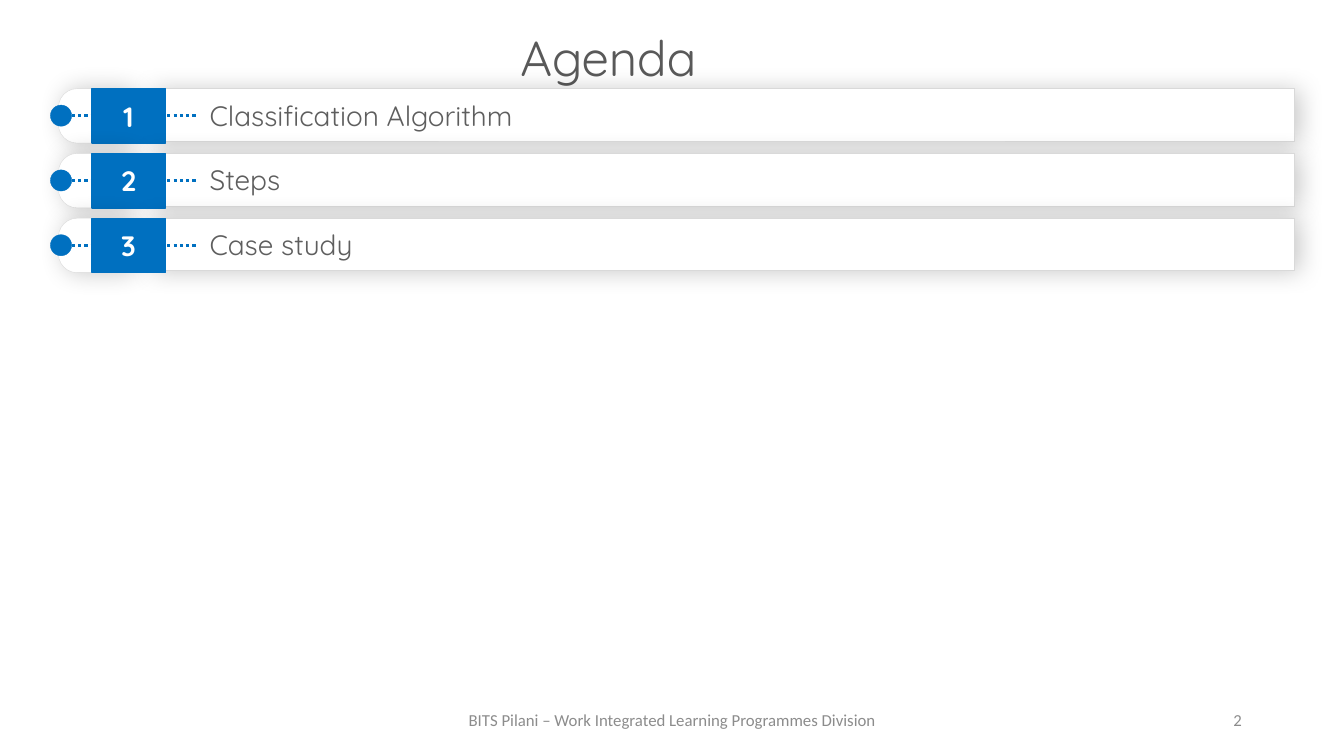
from dataclasses import dataclass

import pptx
import pptx.dml.color
import pptx.enum.dml
import pptx.enum.shapes
import pptx.enum.text
import pptx.oxml
import pptx.oxml.ns
import pptx.shapes.autoshape
import pptx.shapes.base
import pptx.shapes.group
import pptx.slide
import pptx.util

RGBColor = pptx.dml.color.RGBColor
Shape = pptx.enum.shapes.MSO_SHAPE
Align = pptx.enum.text.PP_ALIGN

WHITE = RGBColor(0xFF, 0xFF, 0xFF)
BLUE = RGBColor(0x00, 0x70, 0xC0)
BORDER_GREY = RGBColor(0xD9, 0xD9, 0xD9)
TITLE_GREY = RGBColor(0x59, 0x59, 0x59)
ITEM_GREY = RGBColor(0x5E, 0x5E, 0x5E)
FOOTER_GREY = RGBColor(0x8C, 0x8C, 0x8C)

SLIDE_WIDTH = pptx.util.Inches(13.33)
SLIDE_HEIGHT = pptx.util.Inches(7.5)

# Agenda rows, in percent of the slide's height
FIRST_ROW = 11.73
ROW_PITCH = 8.57
ROW_MIDDLE = 3.6

AGENDA = ("Classification Algorithm", "Steps", "Case study")


@dataclass(frozen=True)
class Area:
    """A rectangle in percent of the slide's width and height."""
    left: float
    top: float
    width: float
    height: float


@dataclass(frozen=True)
class TextStyle:
    font: str
    size: float
    color: RGBColor
    align: Align = Align.CENTER
    bold: bool = False
    line_spacing: float = 1.0
    indent: float = 0.0


@dataclass(frozen=True)
class Part:
    """One shape of an agenda row; its top counts from the row's top."""
    kind: Shape
    area: Area
    fill: RGBColor
    line: RGBColor
    line_width: float
    shadow: bool = False


@dataclass(frozen=True)
class Label:
    text: str
    area: Area
    style: TextStyle


FOOTER = TextStyle("Calibri", 12, FOOTER_GREY)
LABELS = (
    Label("BITS Pilani – Work Integrated Learning Programmes Division",
          Area(33.15, 92.6, 33.75, 5.33), FOOTER),
    Label("2", Area(70.65, 92.6, 22.5, 5.33),
          TextStyle("Calibri", 12, FOOTER_GREY, Align.RIGHT)),
    Label("Agenda", Area(33.38, 2.93, 23.78, 10.13),
          TextStyle("Quicksand", 35.1, TITLE_GREY, line_spacing=0.9)),
)
ITEM = TextStyle("Quicksand", 20, ITEM_GREY, Align.LEFT, indent=0.5)
NUMBER = TextStyle("Quicksand", 20, WHITE, bold=True)

TAB = Part(Shape.ROUNDED_RECTANGLE, Area(4.35, 0, 5.78, 7.2),
           WHITE, BORDER_GREY, 0.25, True)
BAR = Part(Shape.RECTANGLE, Area(11.1, 0, 85.2, 6.93),
           WHITE, BORDER_GREY, 0.25, True)
DOT = Part(Shape.OVAL, Area(3.75, 2.17, 1.58, 2.8), BLUE, BLUE, 0.25)
BLOCK = Part(Shape.RECTANGLE, Area(6.83, 0, 5.48, 7.2), BLUE, BLUE, 1)
NUMBER_BOX = Part(Shape.RECTANGLE, Area(7.8, 0.67, 3.53, 5.87),
                  BLUE, BLUE, 0.75)
DOTTED_SPANS = ((12.45, 14.78), (4.88, 7.2))


def across(percent: float) -> pptx.util.Emu:
    return pptx.util.Emu(round(SLIDE_WIDTH * percent / 100))


def down(percent: float) -> pptx.util.Emu:
    return pptx.util.Emu(round(SLIDE_HEIGHT * percent / 100))


def place(area: Area, offset: float = 0) -> tuple:
    return (across(area.left), down(area.top + offset),
            across(area.width), down(area.height))


def write(shape: pptx.shapes.autoshape.Shape, text: str,
          style: TextStyle) -> None:
    frame = shape.text_frame
    frame.word_wrap = True
    frame.vertical_anchor = pptx.enum.text.MSO_ANCHOR.MIDDLE
    paragraph = frame.paragraphs[0]
    paragraph.alignment = style.align
    paragraph.line_spacing = style.line_spacing
    if style.indent:
        properties = paragraph._p.get_or_add_pPr()
        properties.set("marL", str(pptx.util.Inches(style.indent)))
        properties.set("indent", "0")
    run = paragraph.add_run()
    run.text = text
    run.font.name = style.font
    run.font.size = pptx.util.Pt(style.size)
    run.font.bold = style.bold
    run.font.color.rgb = style.color


def add_soft_shadow(shape: pptx.shapes.autoshape.Shape) -> None:
    namespace = pptx.oxml.ns.nsdecls("a")
    blur, distance = pptx.util.Pt(18), pptx.util.Pt(3)
    effects = shape._element.spPr.find(pptx.oxml.ns.qn("a:effectLst"))
    effects.append(pptx.oxml.parse_xml(
        f'<a:outerShdw {namespace} blurRad="{blur}" dist="{distance}" dir="0"'
        ' algn="ctr" rotWithShape="0"><a:srgbClr val="000000">'
        '<a:alpha val="22000"/></a:srgbClr></a:outerShdw>'))


def add_part(group: pptx.shapes.group.GroupShape, part: Part,
             row_top: float) -> pptx.shapes.autoshape.Shape:
    shape = group.shapes.add_shape(part.kind, *place(part.area, row_top))
    shape.fill.solid()
    shape.fill.fore_color.rgb = part.fill
    shape.line.color.rgb = part.line
    shape.line.width = pptx.util.Pt(part.line_width)
    shape.shadow.inherit = False
    if part.shadow:
        add_soft_shadow(shape)
    return shape


def add_dotted_line(group: pptx.shapes.group.GroupShape, start: float,
                    end: float, level: float) -> None:
    line = group.shapes.add_connector(
        pptx.enum.shapes.MSO_CONNECTOR.STRAIGHT,
        across(start), down(level), across(end), down(level))
    line.line.color.rgb = BLUE
    line.line.width = pptx.util.Pt(2.25)
    line.line.dash_style = pptx.enum.dml.MSO_LINE.ROUND_DOT
    line._element.spPr.append(pptx.oxml.parse_xml(
        f'<a:effectLst {pptx.oxml.ns.nsdecls("a")}/>'))


def add_agenda_row(slide: pptx.slide.Slide, index: int, text: str) -> None:
    top = FIRST_ROW + index * ROW_PITCH
    group = slide.shapes.add_group_shape()
    group.name = f"Agenda item {index + 1}"
    add_part(group, TAB, top).adjustments[0] = 0.344
    write(add_part(group, BAR, top), text, ITEM)
    for start, end in DOTTED_SPANS:
        add_dotted_line(group, start, end, top + ROW_MIDDLE)
    add_part(group, DOT, top)
    add_part(group, BLOCK, top)
    write(add_part(group, NUMBER_BOX, top), str(index + 1), NUMBER)


def main() -> None:
    presentation = pptx.Presentation()
    presentation.slide_width = SLIDE_WIDTH
    presentation.slide_height = SLIDE_HEIGHT
    slide = presentation.slides.add_slide(presentation.slide_layouts[6])
    for label in LABELS:
        write(slide.shapes.add_textbox(*place(label.area)),
              label.text, label.style)
    for index, text in enumerate(AGENDA):
        add_agenda_row(slide, index, text)
    presentation.save("out.pptx")


if __name__ == "__main__":
    main()
